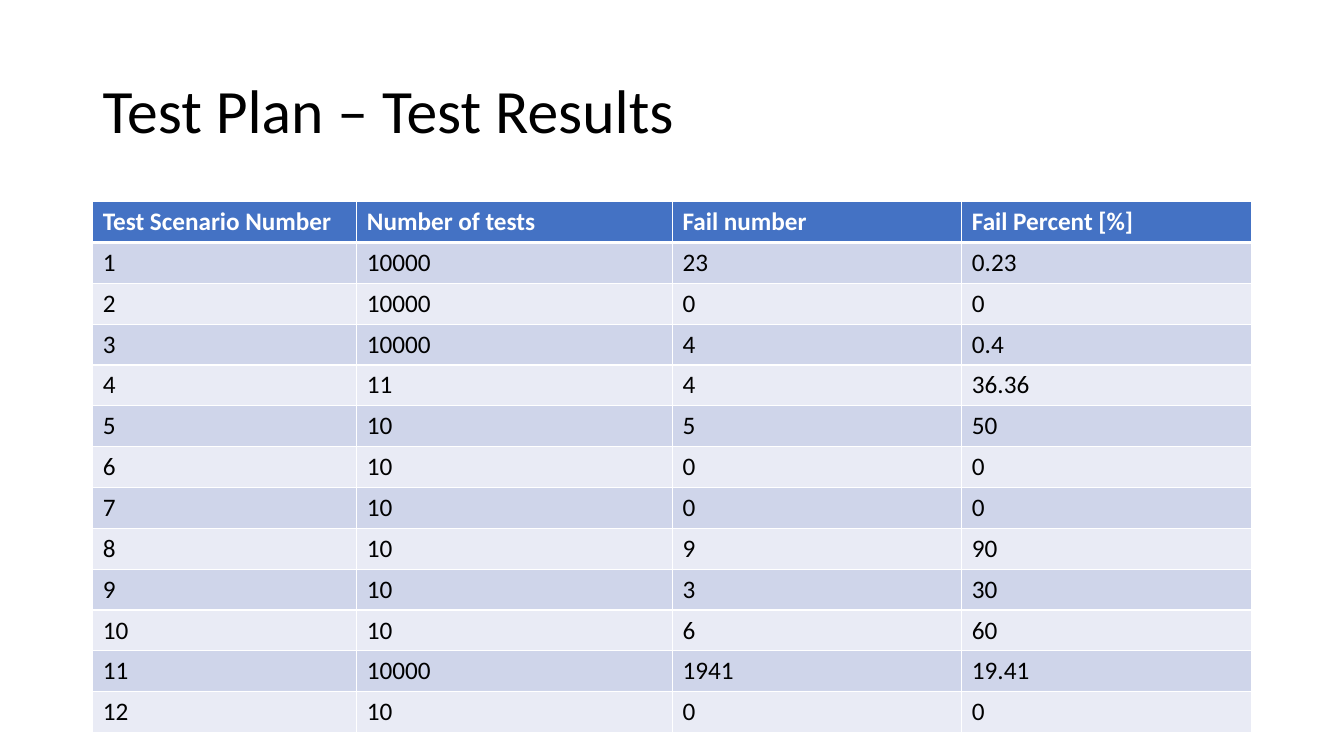
from lxml.etree import SubElement
from pptx import Presentation
from pptx.dml.color import RGBColor
from pptx.enum.text import MSO_ANCHOR
from pptx.oxml.ns import qn
from pptx.util import Inches, Pt

BLACK = RGBColor(0x00, 0x00, 0x00)
WHITE = RGBColor(0xFF, 0xFF, 0xFF)
HEADER_BLUE = RGBColor(0x44, 0x72, 0xC4)
BAND_DARK = RGBColor(0xCF, 0xD5, 0xEA)
BAND_LIGHT = RGBColor(0xE9, 0xEB, 0xF5)

TITLE_FONT = {"name": "Calibri", "size": Pt(44)}
HEADER_FONT = {"name": "Calibri", "size": Pt(18), "bold": True}
BODY_FONT = {"name": "Calibri", "size": Pt(18), "bold": False}

RESULTS = [
    ("Test Scenario Number", "Number of tests", "Fail number", "Fail Percent [%]"),
    ("1", "10000", "23", "0.23"),
    ("2", "10000", "0", "0"),
    ("3", "10000", "4", "0.4"),
    ("4", "11", "4", "36.36"),
    ("5", "10", "5", "50"),
    ("6", "10", "0", "0"),
    ("7", "10", "0", "0"),
    ("8", "10", "9", "90"),
    ("9", "10", "3", "30"),
    ("10", "10", "6", "60"),
    ("11", "10000", "1941", "19.41"),
    ("12", "10", "0", "0"),
]
COLUMN_WIDTHS = (2.62, 3.13, 2.87, 2.87)
LEFT, WIDTH = Inches(0.92), Inches(11.5)
TABLE_HEIGHT = Inches(5.27)


def write(paragraph, text, font_format, color):
    """Add text to a paragraph as one formatted run."""
    run = paragraph.add_run()
    run.text = text
    for attribute, value in font_format.items():
        setattr(run.font, attribute, value)
    run.font.color.rgb = color


def add_borders(cell, widths):
    """Draw white cell borders; widths maps each edge to points."""
    properties = cell._tc.get_or_add_tcPr()
    for edge, width in widths.items():
        line = SubElement(properties, qn(f"a:ln{edge}"), w=str(Pt(width)))
        fill = SubElement(line, qn("a:solidFill"))
        SubElement(fill, qn("a:srgbClr"), val=str(WHITE))


prs = Presentation()
prs.slide_width, prs.slide_height = Inches(13.33), Inches(7.5)
slide = prs.slides.add_slide(prs.slide_layouts[6])

title = slide.shapes.add_textbox(LEFT, Inches(0.4), WIDTH, Inches(1.45)).text_frame
title.word_wrap = True
title.vertical_anchor = MSO_ANCHOR.MIDDLE
title.paragraphs[0].line_spacing = 0.9
write(title.paragraphs[0], "Test Plan – Test Results", TITLE_FONT, BLACK)

results_table = slide.shapes.add_table(
    len(RESULTS), len(COLUMN_WIDTHS), LEFT, Inches(2), WIDTH, TABLE_HEIGHT
).table
for column, width in zip(results_table.columns, COLUMN_WIDTHS):
    column.width = Inches(width)

for row_number, result in enumerate(RESULTS):
    is_header = row_number == 0
    if is_header:
        background, font_format, color = HEADER_BLUE, HEADER_FONT, WHITE
    else:
        background = BAND_DARK if row_number % 2 else BAND_LIGHT
        font_format, color = BODY_FONT, BLACK
    borders = {"L": 1, "R": 1, "T": 3 if row_number == 1 else 1, "B": 3 if is_header else 1}
    for column_number, text in enumerate(result):
        cell = results_table.cell(row_number, column_number)
        add_borders(cell, borders)
        cell.fill.solid()
        cell.fill.fore_color.rgb = background
        write(cell.text_frame.paragraphs[0], text, font_format, color)

prs.save("out.pptx")
